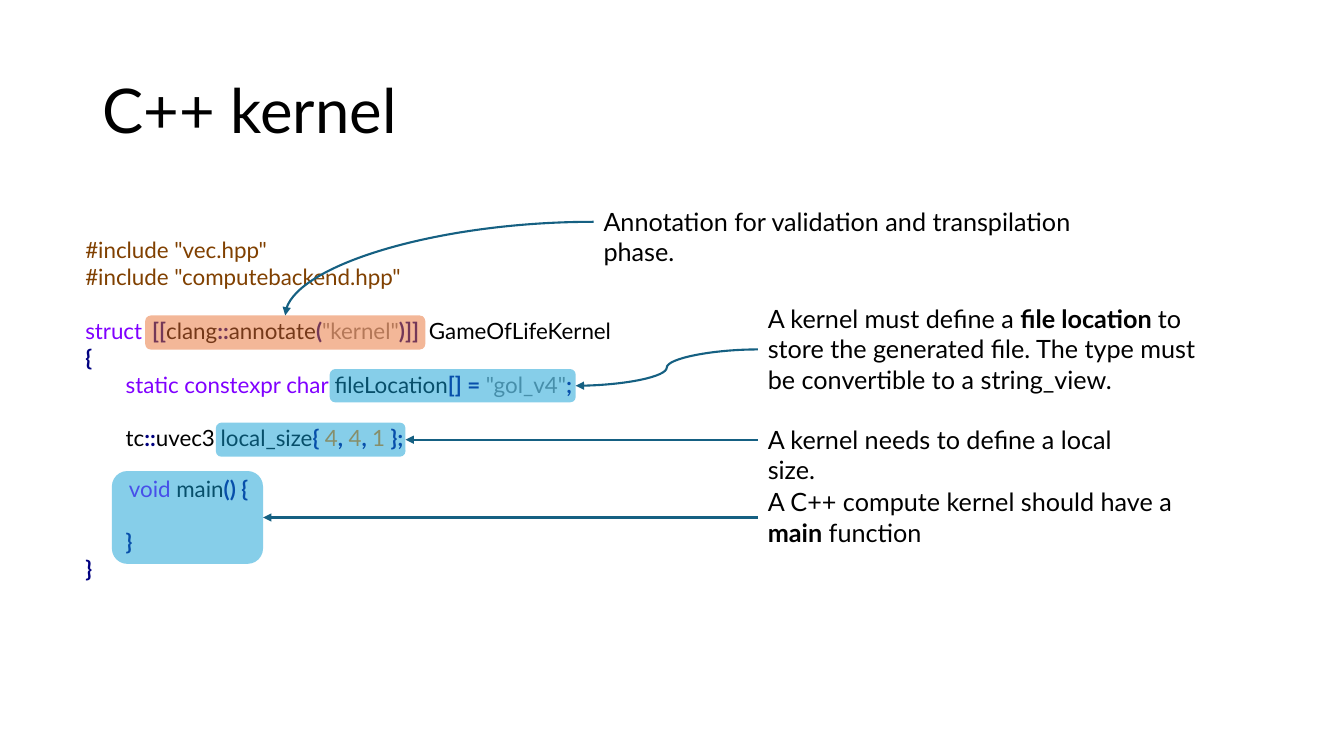
from lxml.etree import SubElement
from pptx import Presentation
from pptx.dml.color import RGBColor
from pptx.enum.shapes import MSO_CONNECTOR, MSO_SHAPE
from pptx.enum.text import MSO_ANCHOR, PP_ALIGN
from pptx.oxml.ns import qn
from pptx.util import Cm, Pt

COLORS = {
    "text": "000000", "include": "804000", "keyword": "8000FF",
    "operator": "000080", "string": "808080", "number": "FF8000",
    "blue": "0F9ED5", "orange": "E97132", "arrow": "156082",
}
FONT = "Lato"
TITLE = "C++ kernel"

# Code lines: space before (pt), indent (cm), (text, colour) runs
LINE = 19.2  # height of one empty code line
CODE_BOX = (1.9, 5.83, 14.88, 9.49)
CODE = [
    (0, 0, [('#include "vec.hpp"', "include")]),
    (0, 0, [('#include "computebackend.hpp"', "include")]),
    (LINE, 0, [("struct", "keyword"), (" ", "text"), ("[[", "operator"),
               ("clang", "text"), ("::", "operator"), ("annotate", "text"),
               ("(", "operator"), ('"kernel"', "string"), (")]]", "operator"),
               (" ", "text"), ("GameOfLifeKernel", "text")]),
    (0, 0, [("{", "operator")]),
    (0, 1.02, [("static constexpr char", "keyword"), (" fileLocation", "text"),
               ("[] = ", "operator"), ('"gol_v4"', "string"), (";", "operator")]),
    (LINE, 1.02, [("tc", "text"), ("::", "operator"), ("uvec3 local_size", "text"),
                  ("{ ", "operator"), ("4", "number"), (", ", "operator"),
                  ("4", "number"), (", ", "operator"), ("1", "number"),
                  (" };", "operator")]),
    (16.8, 1.1, [("void", "keyword"), (" main", "text"), ("() {", "operator")]),
    (LINE, 1.02, [("}", "operator")]),
    (0, 0, [("}", "operator")]),
]

# Callouts: note box, (text, bold) runs, highlight box, fill, connector, end side
CURVE, STRAIGHT = MSO_CONNECTOR.CURVE, MSO_CONNECTOR.STRAIGHT
TOP, LEFT, RIGHT = 0, 1, 3
CALLOUTS = [
    ((19.1, 7.52, 11.28, 2.57),
     [("A kernel must define a ", False), ("file location ", True),
      ("to store the generated file. The type must be convertible to a "
       "string_view.", False)],
     (8.31, 9.3, 6.2, 0.84), "blue", CURVE, RIGHT),
    ((19.1, 12.14, 11.63, 1.8),
     [("A C++ compute kernel should have a ", False), ("main", True),
      (" function", False)],
     (2.82, 11.87, 3.81, 2.34), "blue", STRAIGHT, RIGHT),
    ((19.1, 10.57, 10.44, 1.02),
     [("A kernel needs to define a local size.", False)],
     (5.44, 10.65, 4.78, 0.86), "blue", STRAIGHT, RIGHT),
    ((14.96, 5.08, 13.8, 1.02),
     [("Annotation for validation and transpilation phase.", False)],
     (3.66, 7.95, 7.06, 0.86), "orange", CURVE, TOP),
]


def rgb(name):
    return RGBColor.from_string(COLORS[name])


def add_run(p, text, size=18, color="text", bold=False, spacing=0):
    r = p.add_run()
    r.text = text
    r.font.name, r.font.size, r.font.bold = FONT, Pt(size), bold
    r.font.color.rgb = rgb(color)
    if spacing:
        r.font._element.set("spc", str(spacing * 100))


def add_box(s, box):
    tf = s.shapes.add_textbox(*map(Cm, box))
    tf.text_frame.word_wrap = True
    return tf


def add_highlight(s, box, color):
    sp = s.shapes.add_shape(MSO_SHAPE.ROUNDED_RECTANGLE, *map(Cm, box))
    sp.shadow.inherit = False
    sp.fill.solid()
    sp.fill.fore_color.rgb = rgb(color)
    sp.line.fill.background()
    clr = sp._element.spPr.find(qn("a:solidFill")).find(qn("a:srgbClr"))
    SubElement(clr, qn("a:alpha")).set("val", "50000")
    return sp


def add_arrow(s, note, target, kind, side):
    c = s.shapes.add_connector(kind, 0, 0, 0, 0)
    c.begin_connect(note, LEFT)
    c.end_connect(target, side)
    c.line.color.rgb = rgb("arrow")
    c.line.width = Pt(1.5)
    spPr = c._element.spPr
    SubElement(spPr.find(qn("a:ln")), qn("a:tailEnd")).set("type", "triangle")
    SubElement(spPr, qn("a:effectLst"))
    if side == TOP:  # a single quarter bend
        spPr.find(qn("a:prstGeom")).set("prst", "curvedConnector2")


prs = Presentation()
prs.slide_width, prs.slide_height = Cm(33.87), Cm(19.05)
s = prs.slides.add_slide(prs.slide_layouts[5])

# Title
title = s.shapes.title
title.left, title.top, title.width, title.height = map(Cm, (2.33, 1.02, 29.21, 3.68))
title.text_frame.vertical_anchor = MSO_ANCHOR.MIDDLE
p = title.text_frame.paragraphs[0]
p.alignment, p.line_spacing = PP_ALIGN.LEFT, 0.9
add_run(p, TITLE, size=44)

# Code
tf = add_box(s, CODE_BOX).text_frame
for i, (before, indent, runs) in enumerate(CODE):
    p = tf.add_paragraph() if i else tf.paragraphs[0]
    p._p.get_or_add_pPr().set("marL", str(Cm(indent)))
    if before:
        p.space_before = Pt(before)
    for text, color in runs:
        add_run(p, text, size=16, color=color, bold=color == "operator",
                spacing=3 if text == " " else 0)

# Callouts
for note_box, runs, target_box, color, kind, side in CALLOUTS:
    note = add_box(s, note_box)
    for text, bold in runs:
        add_run(note.text_frame.paragraphs[0], text, bold=bold)
    target = add_highlight(s, target_box, color)
    add_arrow(s, note, target, kind, side)

prs.save("out.pptx")
